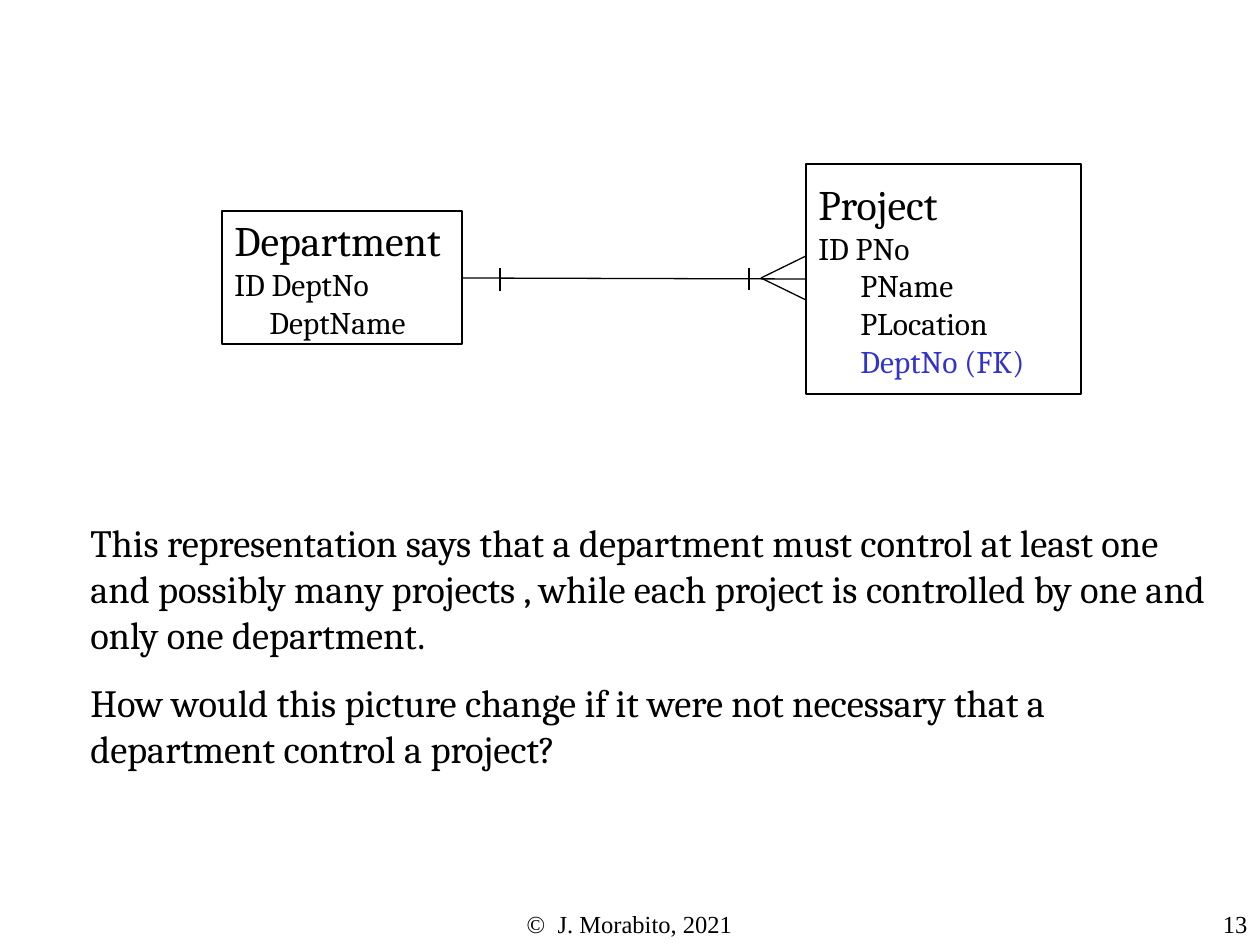
"""Build the slide relating departments to projects with crow's-foot notation."""
from dataclasses import dataclass

import pptx
import pptx.dml.color
import pptx.enum.shapes
import pptx.enum.text
import pptx.oxml.ns
import pptx.util
from lxml import etree

SCALE = 914400 // 126
COLOURS = {"ink": "000000", "foreign_key": "3333CC"}
ALIGN = pptx.enum.text.PP_ALIGN
ANCHOR = pptx.enum.text.MSO_ANCHOR


@dataclass
class Line:
    text: str
    size: int
    font: str = "Cambria"
    colour: str = "ink"
    indent: int = 0
    before: int = 0
    align: ALIGN = ALIGN.LEFT


@dataclass
class Block:
    left: int
    top: int
    width: int
    height: int
    lines: list[Line]


@dataclass
class Stroke:
    x1: int
    y1: int
    x2: int
    y2: int


ENTITIES = [
    Block(806, 164, 275, 230, [
        Line("Project", 24),
        Line("ID PNo", 18),
        Line("PName", 18, indent=42),
        Line("PLocation", 18, indent=42),
        Line("DeptNo (FK)", 18, colour="foreign_key", indent=42),
    ]),
    Block(222, 211, 240, 133, [
        Line("Department", 24),
        Line("ID DeptNo", 18),
        Line("DeptName", 18, indent=35),
    ]),
]
TEXTS = [
    Block(430, 903, 399, 32, [
        Line("©  J. Morabito, 2021", 14, "Times New Roman", align=ALIGN.CENTER),
    ]),
    Block(1081, 903, 179, 42, [
        Line("13", 14, "Times New Roman", align=ALIGN.RIGHT),
    ]),
    Block(78, 513, 1147, 265, [
        Line("This representation says that a department must control at least one "
             "and possibly many projects , while each project is controlled by one "
             "and only one department.", 22),
        Line("How would this picture change if it were not necessary that a "
             "department control a project?", 22, before=12),
    ]),
]
STROKES = [
    Stroke(761, 278, 806, 300),
    Stroke(761, 278, 806, 256),
    Stroke(749, 290, 749, 268),
    Stroke(500, 268, 500, 291),
    Stroke(462, 278, 806, 279),
]


def px(length: int) -> pptx.util.Emu:
    """Convert pixels to EMU."""
    return pptx.util.Emu(length * SCALE)


def colour(name: str) -> pptx.dml.color.RGBColor:
    """Look up a named colour."""
    return pptx.dml.color.RGBColor.from_string(COLOURS[name])


def apply(target: object, values: dict) -> None:
    """Set every given attribute on the target."""
    for name, value in values.items():
        setattr(target, name, value)


def write(frame, lines: list[Line], anchor: ANCHOR) -> None:
    """Fill a text frame with formatted paragraphs."""
    apply(frame, {"word_wrap": True, "vertical_anchor": anchor})
    for index, line in enumerate(lines):
        para = frame.paragraphs[0] if index == 0 else frame.add_paragraph()
        if line.indent:
            para._p.get_or_add_pPr().set("marL", str(px(line.indent)))
        apply(para, {"alignment": line.align,
                     "space_before": pptx.util.Pt(line.before)})
        span = para.add_run()
        span.text = line.text
        apply(span.font, {"name": line.font, "size": pptx.util.Pt(line.size)})
        span.font.color.rgb = colour(line.colour)


def outline(shape) -> None:
    """Give a shape or connector the thin black line."""
    shape.line.color.rgb = colour("ink")
    shape.line.width = pptx.util.Pt(0.75)


def draw_text(page, block: Block) -> None:
    """Draw a plain text box."""
    box = page.shapes.add_textbox(*map(px, (block.left, block.top, block.width, block.height)))
    write(box.text_frame, block.lines, ANCHOR.TOP)


def draw_entity(page, block: Block) -> None:
    """Draw an outlined entity with its attributes."""
    box = page.shapes.add_shape(
        pptx.enum.shapes.MSO_SHAPE.RECTANGLE,
        *map(px, (block.left, block.top, block.width, block.height)))
    box.shadow.inherit = False
    box.fill.background()
    outline(box)
    write(box.text_frame, block.lines, ANCHOR.MIDDLE)


def draw_stroke(page, stroke: Stroke) -> None:
    """Draw one straight part of the relationship symbol."""
    connector = page.shapes.add_connector(
        pptx.enum.shapes.MSO_CONNECTOR.STRAIGHT,
        *map(px, (stroke.x1, stroke.y1, stroke.x2, stroke.y2)))
    outline(connector)
    etree.SubElement(connector._element.spPr, pptx.oxml.ns.qn("a:effectLst"))


def main() -> None:
    """Assemble and save the deck."""
    deck = pptx.Presentation()
    apply(deck, {"slide_width": px(1260), "slide_height": px(945)})
    page = deck.slides.add_slide(deck.slide_layouts[6])
    for draw, items in ((draw_entity, ENTITIES), (draw_stroke, STROKES), (draw_text, TEXTS)):
        for item in items:
            draw(page, item)
    deck.save("out.pptx")


if __name__ == "__main__":
    main()
